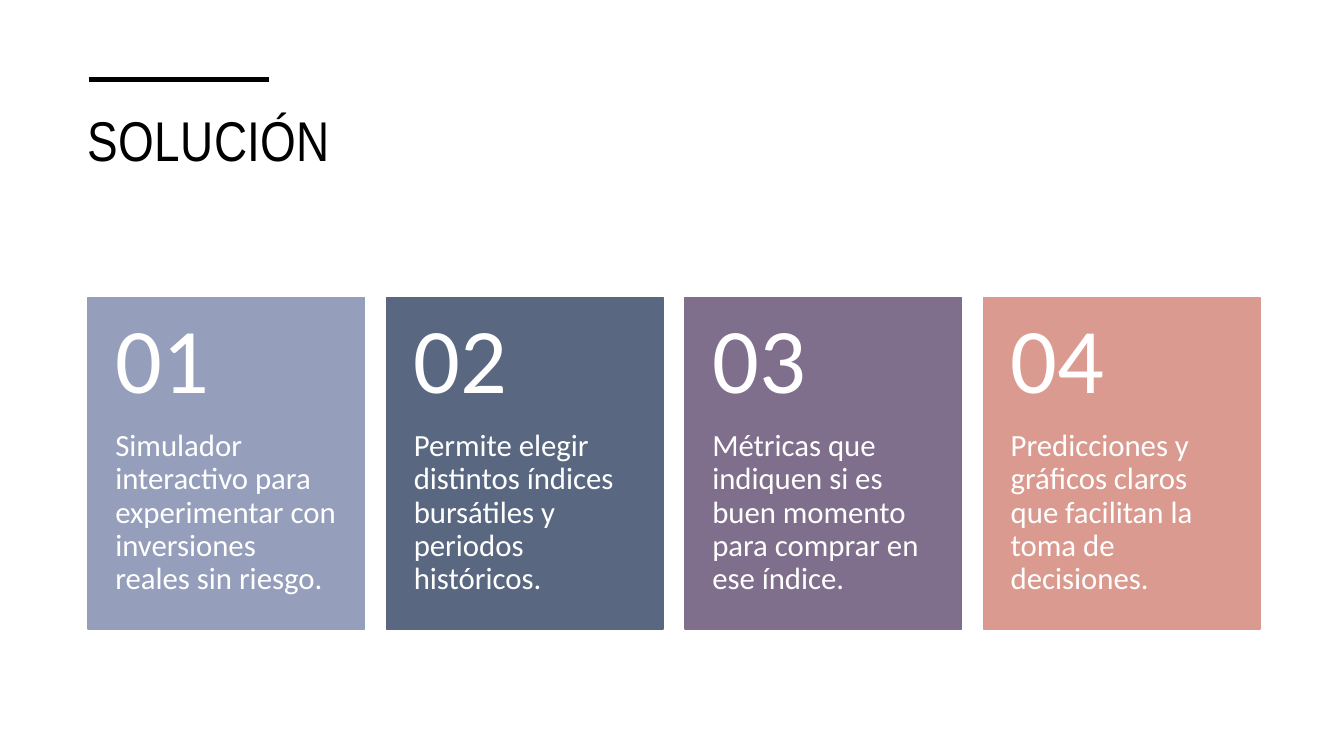
from lxml.etree import SubElement
from pptx import Presentation
from pptx.dml.color import RGBColor
from pptx.enum.shapes import MSO_CONNECTOR as Conn, MSO_SHAPE as Shape
from pptx.enum.text import MSO_ANCHOR as Anchor, MSO_AUTO_SIZE as Auto, PP_ALIGN as Align
from pptx.oxml.ns import qn
from pptx.util import Pt

BLACK = RGBColor(0x00, 0x00, 0x00)
WHITE = RGBColor(0xFF, 0xFF, 0xFF)
BLUE = RGBColor(0x95, 0x9E, 0xBB)
SLATE = RGBColor(0x59, 0x67, 0x81)
PLUM = RGBColor(0x7F, 0x6E, 0x8C)
ROSE = RGBColor(0xDB, 0x9A, 0x8F)

CARDS = [
    (BLUE, "Simulador interactivo para experimentar con inversiones reales sin riesgo."),
    (SLATE, "Permite elegir distintos índices bursátiles y periodos históricos."),
    (PLUM, "Métricas que indiquen si es buen momento para comprar en ese índice."),
    (ROSE, "Predicciones y gráficos claros que facilitan la toma de decisiones."),
]


def style(run, face, size, color):
    """Set the font of a run."""
    run.font.name = face
    run.font.size = Pt(size)
    run.font.color.rgb = color


def heading(slide, x, y, w, h):
    """Place the title in its box."""
    title = slide.shapes.title
    title.left, title.top, title.width, title.height = Pt(x), Pt(y), Pt(w), Pt(h)
    frame = title.text_frame
    frame.text = "SOLUCIÓN"
    frame.auto_size = Auto.NONE
    frame.vertical_anchor = Anchor.TOP
    para = frame.paragraphs[0]
    para.alignment = Align.LEFT
    style(para.runs[0], "Arial Narrow", 40, BLACK)
    para.runs[0].font._element.set("spc", "30")


def rule(slide, x, y, w):
    """Draw the bar above the title."""
    line = slide.shapes.add_connector(Conn.STRAIGHT, Pt(x), Pt(y), Pt(x + w), Pt(y))
    line.line.color.rgb = BLACK
    line.line.width = Pt(3.5)
    SubElement(line._element.spPr, qn("a:effectLst"))


def label(shapes, text, size, anchor, box, pads):
    """Add white text in a box with top and bottom padding."""
    frame = shapes.add_textbox(*map(Pt, box)).text_frame
    frame.word_wrap = True
    frame.vertical_anchor = anchor
    frame.margin_left = frame.margin_right = Pt(19.4)
    frame.margin_top, frame.margin_bottom = map(Pt, pads)
    frame.text = text
    para = frame.paragraphs[0]
    para.line_spacing = 0.9
    style(para.runs[0], "Calibri", size, WHITE)


def card(shapes, num, color, text, x, y, w, h):
    """Draw a numbered card in its box."""
    rect = shapes.add_shape(Shape.RECTANGLE, Pt(x), Pt(y), Pt(w), Pt(h))
    rect.shadow.inherit = False
    rect.fill.solid()
    rect.fill.fore_color.rgb = color
    rect.line.color.rgb = color
    rect.line.width = Pt(1)
    top = h * 0.4
    label(shapes, text, 22, Anchor.TOP, (x, y + top, w, h - top), (0, 26))
    label(shapes, f"{num:02}", 66, Anchor.MIDDLE, (x, y, w, top), (13, 13))


def deck(slide, x, y, w, h, gap):
    """Spread the cards evenly over the box."""
    shapes = slide.shapes.add_group_shape().shapes
    wide = (w - gap * (len(CARDS) - 1)) / len(CARDS)
    for i, (color, text) in enumerate(CARDS):
        card(shapes, i + 1, color, text, x + i * (wide + gap), y, wide, h)


def main():
    """Build and save the slide."""
    prs = Presentation()
    prs.slide_width, prs.slide_height = Pt(960), Pt(540)
    slide = prs.slides.add_slide(prs.slide_layouts[5])
    heading(slide, 55.4, 72, 850.4, 82.8)
    rule(slide, 63.4, 56.9, 128.8)
    deck(slide, 63, 212.4, 837, 237, 15.8)
    prs.save("out.pptx")


if __name__ == "__main__":
    main()
